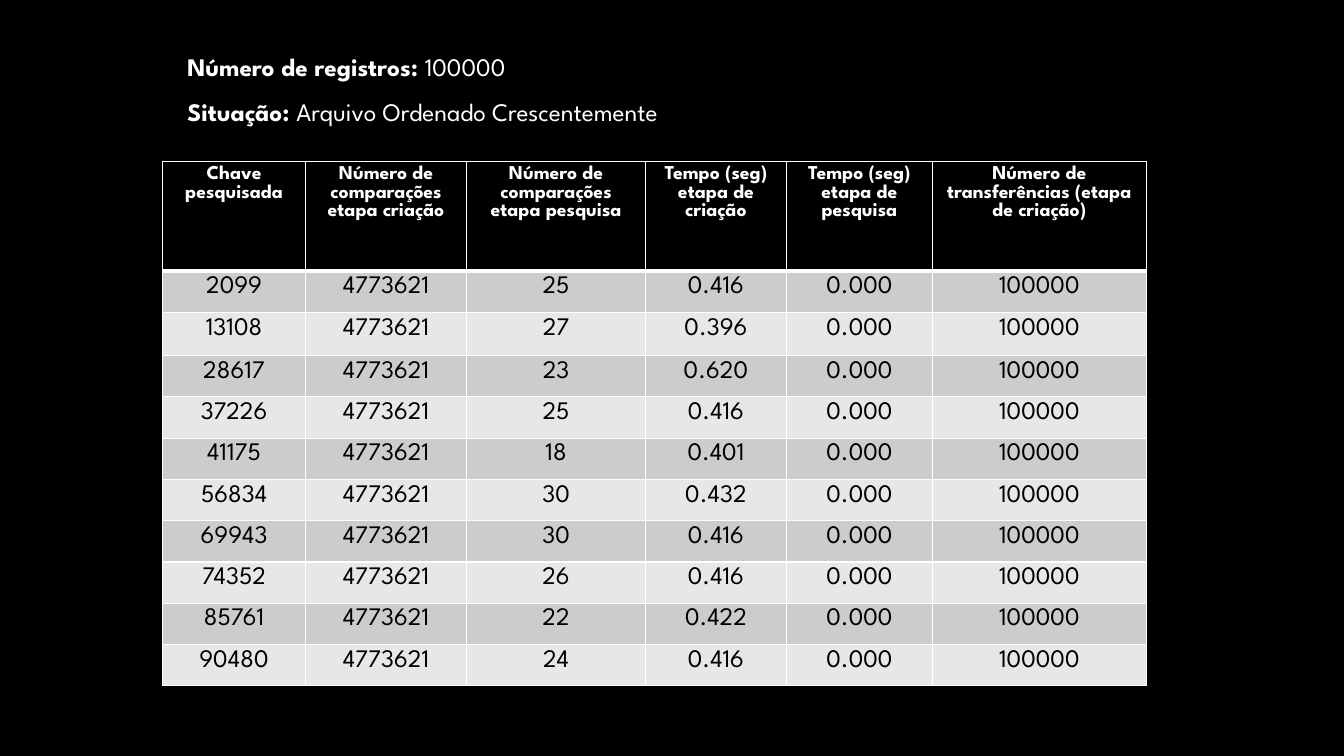
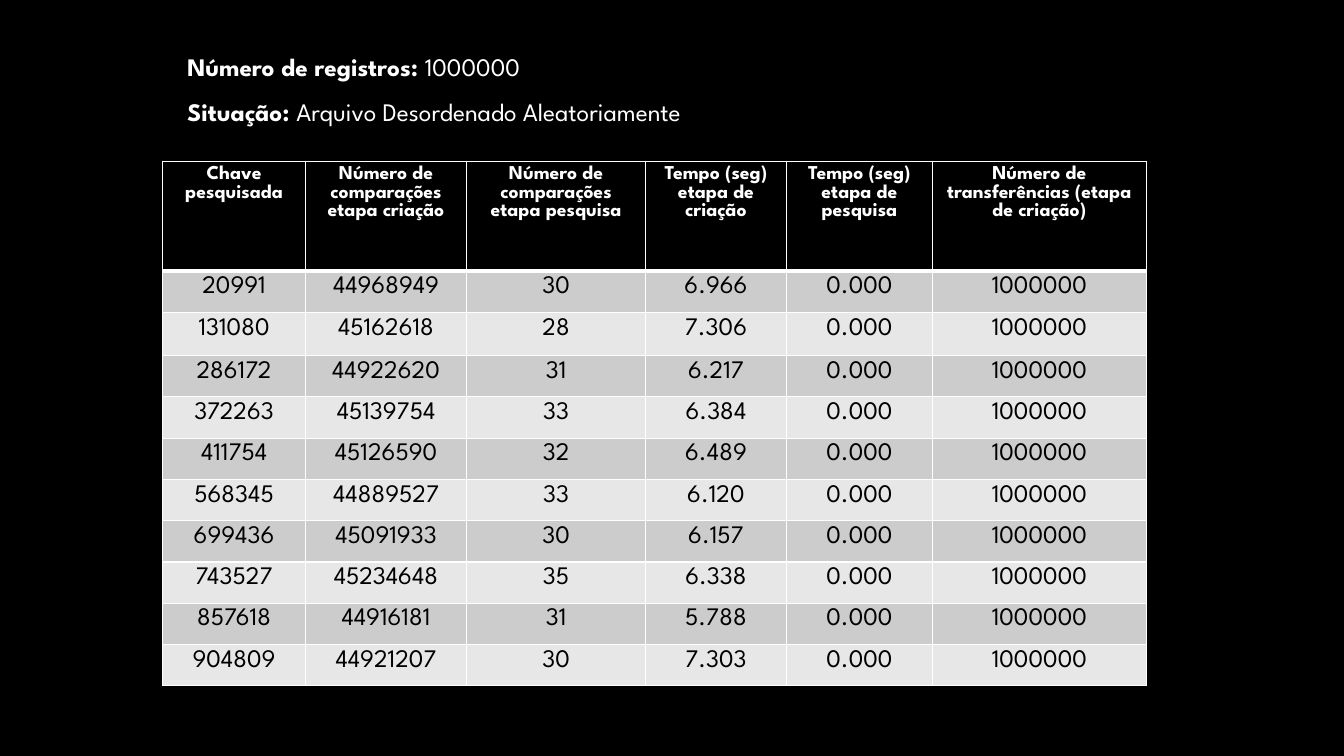
from pptx import Presentation
from pptx import util as u
from pptx.dml.color import RGBColor
from pptx.enum import text
from pptx.oxml import parse_xml
from pptx.oxml.ns import nsdecls

BLACK = RGBColor(0x00, 0x00, 0x00)
WHITE = RGBColor(0xFF, 0xFF, 0xFF)
DARK_BAND = RGBColor(0xCC, 0xCC, 0xCC)
LIGHT_BAND = RGBColor(0xE7, 0xE7, 0xE7)
FONT = "League Spartan"

COLUMN_WIDTHS = [3.6, 4.06, 4.51, 3.55, 3.68, 5.39]
ROW_HEIGHTS = [2.77, 1.04, 1.09] + [1.04] * 8
HEADINGS = [
    "Chave pesquisada",
    "Número de comparações etapa criação",
    "Número de comparações etapa pesquisa",
    "Tempo (seg) etapa de criação",
    "Tempo (seg) etapa de pesquisa",
    "Número de transferências (etapa de criação)",
]
SEARCH_TIME = "0.000"

# Per slide: records, situation, text width, then key, comparisons
# (creation, search) and creation time of each search
EXPERIMENTS = [
    ("100000", "Arquivo Ordenado Crescentemente", 14.88, [
        ("2099", "4773621", "25", "0.416"),
        ("13108", "4773621", "27", "0.396"),
        ("28617", "4773621", "23", "0.620"),
        ("37226", "4773621", "25", "0.416"),
        ("41175", "4773621", "18", "0.401"),
        ("56834", "4773621", "30", "0.432"),
        ("69943", "4773621", "30", "0.416"),
        ("74352", "4773621", "26", "0.416"),
        ("85761", "4773621", "22", "0.422"),
        ("90480", "4773621", "24", "0.416"),
    ]),
    ("1000000", "Arquivo Desordenado Aleatoriamente", 16.15, [
        ("20991", "44968949", "30", "6.966"),
        ("131080", "45162618", "28", "7.306"),
        ("286172", "44922620", "31", "6.217"),
        ("372263", "45139754", "33", "6.384"),
        ("411754", "45126590", "32", "6.489"),
        ("568345", "44889527", "33", "6.120"),
        ("699436", "45091933", "30", "6.157"),
        ("743527", "45234648", "35", "6.338"),
        ("857618", "44916181", "31", "5.788"),
        ("904809", "44921207", "30", "7.303"),
    ]),
]


def add_text(paragraph, content, size=18, color=WHITE, bold=False):
    run = paragraph.add_run()
    run.text = content
    run.font.name = FONT
    run.font.size = u.Pt(size)
    run.font.bold = bold
    run.font.color.rgb = color


def set_borders(cell, top=1, bottom=1):
    widths = {"lnL": 1, "lnR": 1, "lnT": top, "lnB": bottom}
    properties = cell._tc.get_or_add_tcPr()
    for side, width in widths.items():
        properties.append(parse_xml(
            f'<a:{side} {nsdecls("a")} w="{u.Pt(width)}"><a:solidFill>'
            f'<a:srgbClr val="{WHITE}"/></a:solidFill></a:{side}>'))


presentation = Presentation()
presentation.slide_width = u.Cm(33.87)
presentation.slide_height = u.Cm(19.05)

# Shared black background
background = presentation.slide_master.background.fill
background.solid()
background.fore_color.rgb = BLACK

for records, situation, text_width, searches in EXPERIMENTS:
    slide = presentation.slides.add_slide(presentation.slide_layouts[6])

    # Results table
    rows = [HEADINGS] + [(*search, SEARCH_TIME, records) for search in searches]
    table = slide.shapes.add_table(
        len(rows), len(HEADINGS), u.Cm(4.1), u.Cm(4.06),
        u.Cm(sum(COLUMN_WIDTHS)), u.Cm(sum(ROW_HEIGHTS))).table
    table.horz_banding = False
    for column, width in zip(table.columns, COLUMN_WIDTHS):
        column.width = u.Cm(width)

    for row_index, values in enumerate(rows):
        table.rows[row_index].height = u.Cm(ROW_HEIGHTS[row_index])
        heading = row_index == 0
        if heading:
            fill_color = BLACK
        else:
            fill_color = DARK_BAND if row_index % 2 else LIGHT_BAND
        for column_index, value in enumerate(values):
            cell = table.cell(row_index, column_index)
            set_borders(cell, top=3 if row_index == 1 else 1,
                        bottom=3 if heading else 1)
            cell.fill.solid()
            cell.fill.fore_color.rgb = fill_color
            paragraph = cell.text_frame.paragraphs[0]
            paragraph.alignment = text.PP_ALIGN.CENTER
            add_text(paragraph, value, size=14 if heading else 18,
                     color=WHITE if heading else BLACK, bold=heading)

    # Description above the table
    shape = slide.shapes.add_textbox(
        u.Cm(4.47), u.Cm(0.79), u.Cm(text_width), u.Cm(2.57))
    frame = shape.text_frame
    frame.word_wrap = True
    frame.auto_size = text.MSO_AUTO_SIZE.SHAPE_TO_FIT_TEXT
    facts = [("Número de registros: ", records), ("Situação: ", situation)]
    for index, (label, value) in enumerate(facts):
        paragraph = frame.add_paragraph() if index else frame.paragraphs[0]
        paragraph.line_spacing = 1.5
        add_text(paragraph, label, bold=True)
        add_text(paragraph, value)

presentation.save("out.pptx")
